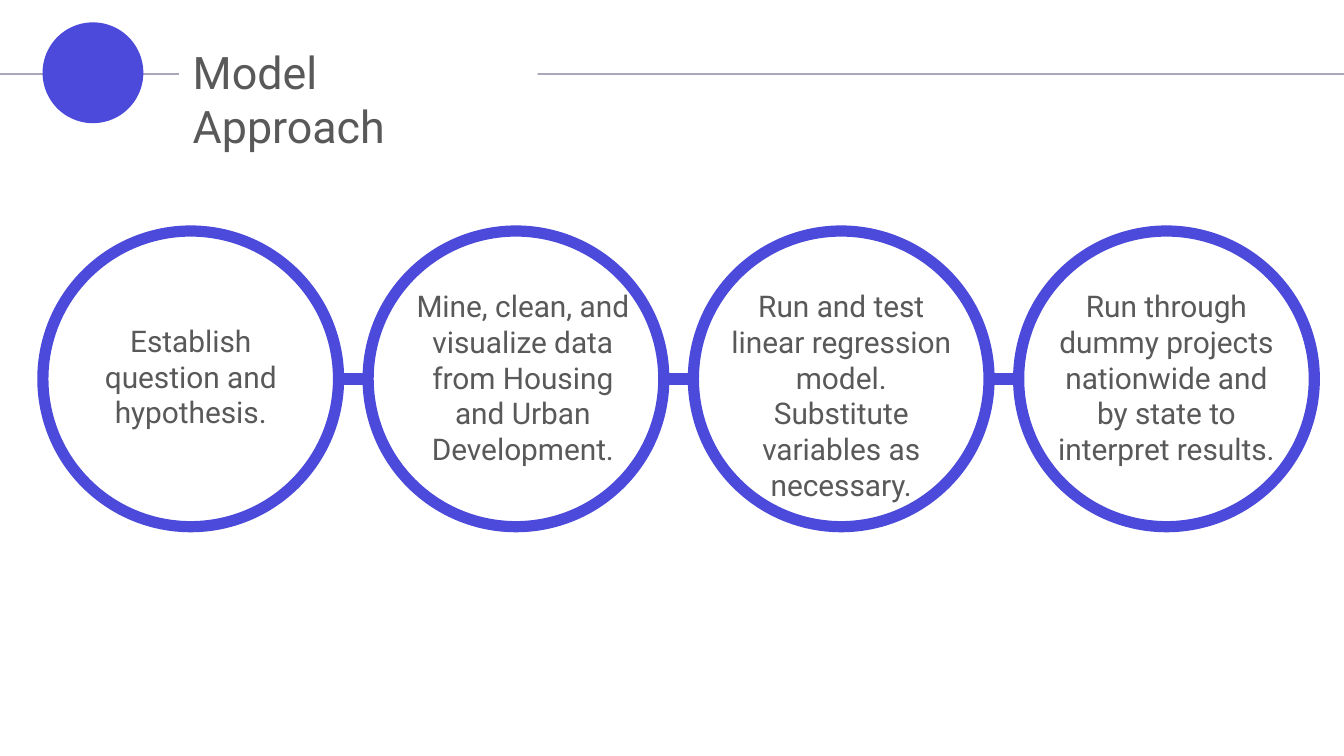
"""Build the Model Approach slide: four linked circles under a title line."""
from pptx import Presentation
from pptx.dml.color import RGBColor
from pptx.enum import shapes, text
from pptx.oxml import ns
from pptx.util import Pt
from lxml import etree

VIOLET, GREY, RULE, WHITE = "4C4ADA", "595959", "AAA7BC", "FFFFFF"

deck = Presentation()
deck.slide_width, deck.slide_height = Pt(720), Pt(405)
slide = deck.slides.add_slide(deck.slide_layouts[5])


def add_rule(x1, x2, y, color, weight):
    rule = slide.shapes.add_connector(shapes.MSO_CONNECTOR.STRAIGHT, Pt(x1), Pt(y), Pt(x2), Pt(y))
    rule.line.color.rgb = RGBColor.from_string(color)
    rule.line.width = Pt(weight)
    etree.SubElement(rule._element.spPr, ns.qn("a:effectLst"))


def write(frame, wording, size, align):
    frame.word_wrap = True
    frame.vertical_anchor = text.MSO_ANCHOR.TOP
    paragraph = frame.paragraphs[0]
    paragraph.alignment = align
    run = paragraph.add_run()
    run.text = wording
    run.font.name, run.font.size = "Roboto", Pt(size)
    run.font.color.rgb = RGBColor.from_string(GREY)


add_rule(0, 720, 39.6, RULE, 1.5)
for kind, left, width, color in [
    (shapes.MSO_SHAPE.OVAL, 22.8, 54, VIOLET),
    (shapes.MSO_SHAPE.RECTANGLE, 96, 192, WHITE),
]:
    header_part = slide.shapes.add_shape(kind, Pt(left), Pt(12), Pt(width), Pt(54))
    header_part.shadow.inherit = False
    header_part.fill.solid()
    header_part.fill.fore_color.rgb = RGBColor.from_string(color)
    header_part.line.fill.background()

title = slide.shapes.title
title.left, title.top, title.width, title.height = Pt(96), Pt(20.2), Pt(183.6), Pt(36)
title.text_frame.auto_size = text.MSO_AUTO_SIZE.NONE
title.text_frame.margin_right = Pt(20)
write(title.text_frame, "Model Approach", 24, text.PP_ALIGN.LEFT)
title._element.getparent().append(title._element)

steps = [
    ("Establish question and hypothesis.", 33.1, 169.2, 65.5),
    ("Mine, clean, and visualize data from Housing and Urban Development.", 211, 150.5, 104.4),
    ("Run and test linear regression model. Substitute variables as necessary.", 381.6, 150.5, 104.4),
    ("Run through dummy projects nationwide and by state to interpret results.", 555.8, 150.5, 104.4),
]
first_left, circle_top, diameter, pitch = 23, 123.8, 158.4, 174.24

for index, (wording, label_left, label_top, label_height) in enumerate(steps):
    left = first_left + index * pitch
    circle = slide.shapes.add_shape(
        shapes.MSO_SHAPE.OVAL, Pt(left), Pt(circle_top), Pt(diameter), Pt(diameter))
    circle.shadow.inherit = False
    circle.fill.background()
    circle.line.color.rgb = RGBColor.from_string(VIOLET)
    circle.line.width = Pt(6)
    if index:
        add_rule(left - pitch + diameter, left, circle_top + diameter / 2, VIOLET, 6)
    label = slide.shapes.add_textbox(Pt(label_left), Pt(label_top), Pt(138.2), Pt(label_height))
    write(label.text_frame, wording, 16, text.PP_ALIGN.CENTER)

deck.save("out.pptx")
